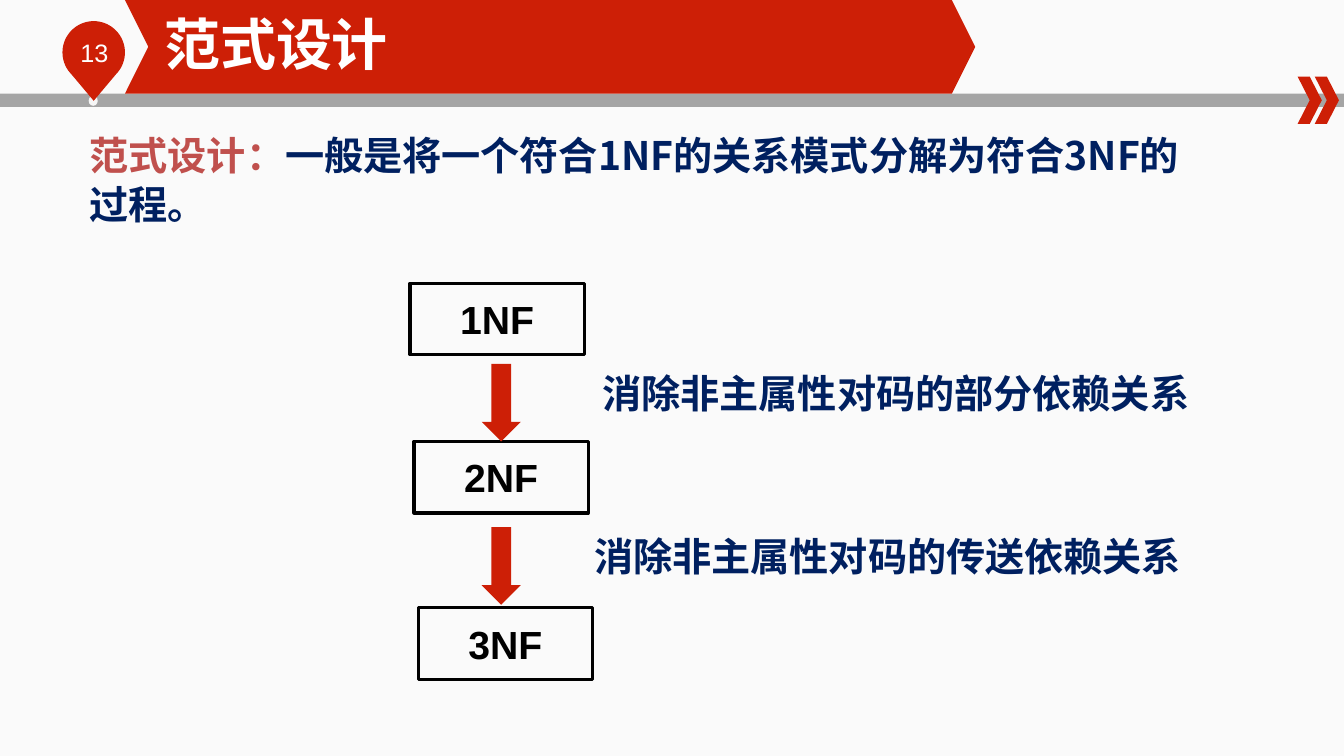
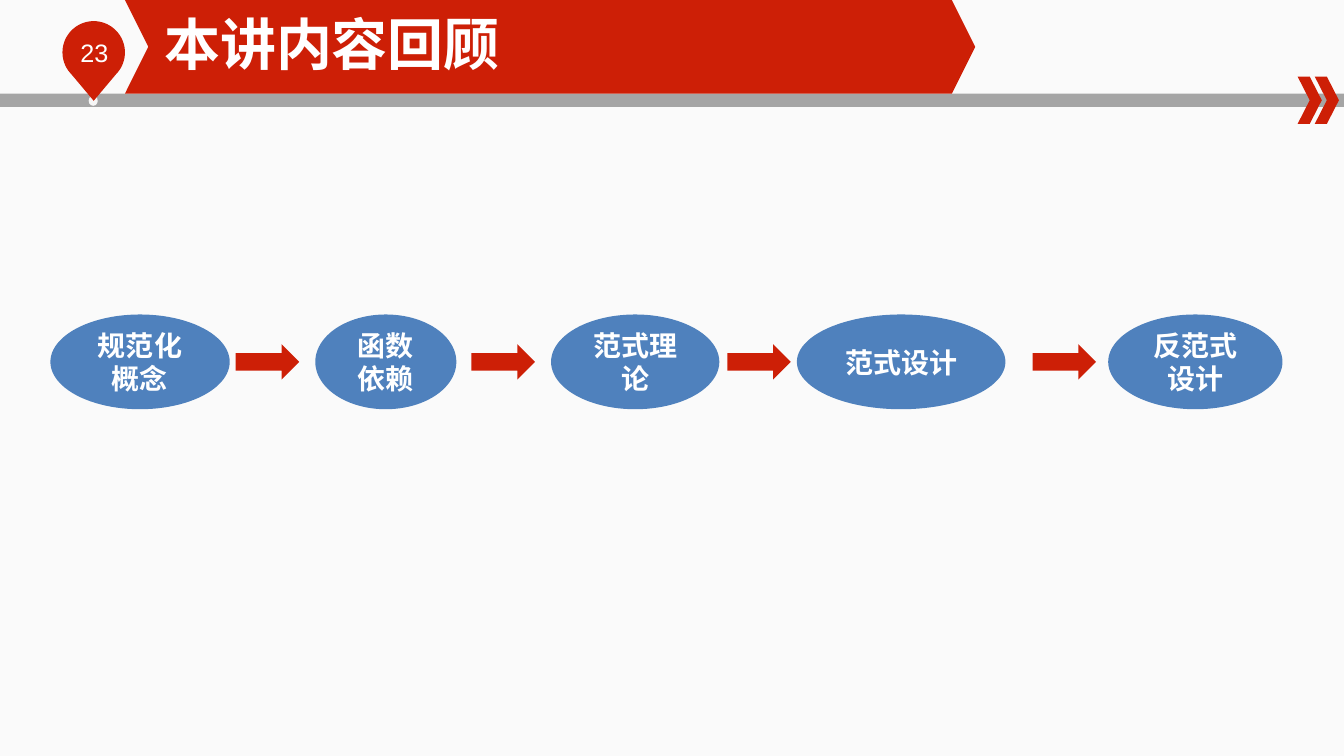
from dataclasses import dataclass
from math import cos, radians, sin

from pptx import Presentation
from pptx import util as u
from pptx.dml.color import RGBColor
from pptx.enum import shapes, text
from pptx.oxml.ns import qn

KIND = shapes.MSO_SHAPE
ALIGN = text.PP_ALIGN
MID = text.MSO_ANCHOR.MIDDLE
TOP = text.MSO_ANCHOR.TOP


@dataclass(frozen=True)
class Theme:
    red: str = "CD1F06"
    gray: str = "A5A5A5"
    dot: str = "F6F6F6"
    white: str = "FFFFFF"
    black: str = "000000"
    navy: str = "002060"
    rose: str = "C0504D"
    blue: str = "4F81BD"
    back: tuple = ("FAFAFA", "FCFCFC")
    latin: str = "Arial"
    cjk: str = "Noto Sans CJK SC"
    title: int = 40
    body: int = 28
    node: int = 20
    page: int = 18


T = Theme()


def rgb(code):
    return RGBColor.from_string(code)


def apply(item, form):
    for key, value in form.items():
        setattr(item, key, value)


def write(shape, runs, size, name=T.cjk, bold=True, align=ALIGN.LEFT,
          anchor=TOP, pad=(0.1, 0.05), lead=1.0):
    frame = shape.text_frame
    side, edge = map(u.Inches, pad)
    apply(frame, {"word_wrap": True, "vertical_anchor": anchor,
                  "margin_left": side, "margin_right": side,
                  "margin_top": edge, "margin_bottom": edge})
    para = frame.paragraphs[0]
    apply(para, {"alignment": align, "line_spacing": lead})
    for words, color in runs:
        run = para.add_run()
        run.text = words
        apply(run.font, {"name": name, "size": u.Pt(size), "bold": bold})
        run.font.color.rgb = rgb(color)
        east = run.font._element.makeelement(qn("a:ea"), {"typeface": T.cjk})
        run.font._element.find(qn("a:latin")).addnext(east)


def paint(shape, fill=None, line=None, width=2.25):
    shape.shadow.inherit = False
    if fill:
        shape.fill.solid()
        shape.fill.fore_color.rgb = rgb(fill)
    else:
        shape.fill.background()
    if line:
        shape.line.color.rgb = rgb(line)
        shape.line.width = u.Pt(width)
    else:
        shape.line.fill.background()
    return shape


def draw(slide, kind, box, fill=None, line=None, adjust=None):
    shape = slide.shapes.add_shape(kind, *map(u.Inches, box))
    if adjust is not None:
        shape.adjustments[0] = adjust
    return paint(shape, fill, line)


def label(slide, box, runs, size, **form):
    area = slide.shapes.add_textbox(*map(u.Inches, box))
    write(area, runs, size, **form)


def pin(slide, box, page):
    x, y, w, h = box
    r = w / 2
    arc = [(x + r + r * cos(radians(a)), y + r + r * sin(radians(a)))
           for a in range(135, 406, 5)]
    points = [tuple(map(u.Inches, p)) for p in arc + [(x + r, y + h)]]
    form = slide.shapes.build_freeform(*points[0], scale=1.0)
    form.add_line_segments(points[1:], close=True)
    paint(form.convert_to_shape(), T.red)
    label(slide, (x + 0.08, y + 0.11, 0.76, 0.4), [(page, T.white)],
          T.page, name=T.latin, bold=False)


def header(slide, box, title, page):
    x, y, w, h = box
    draw(slide, KIND.RECTANGLE, (x, y + h, w, 0.13), T.gray)
    draw(slide, KIND.OVAL, (x + 0.88, y + 0.95, 0.09, 0.1), T.dot)
    pin(slide, (x + 0.62, y + 0.21, 0.62, 0.79), page)
    for left in (w - 0.46, w - 0.29):
        draw(slide, KIND.CHEVRON, (x + left, y + 0.76, 0.24, 0.47),
             T.red, adjust=0.5)
    draw(slide, KIND.CHEVRON, (x + 1.24, y, 8.44, h), T.red, adjust=0.25)
    label(slide, (x + 1.63, y + 0.09, 6.61, 0.67), [(title, T.white)],
          T.title, anchor=MID, pad=(0, 0))


def steps(slide, box):
    x, y, w, h = box
    nodes = (("1NF", 0, 0), ("2NF", 0.04, 1.57), ("3NF", 0.08, 3.22))
    for name, left, top in nodes:
        node = draw(slide, KIND.RECTANGLE, (x + left, y + top, 1.73, 0.71),
                    line=T.black)
        write(node, [(name, T.black)], T.body, name=T.latin,
              align=ALIGN.CENTER, anchor=MID)
    notes = (("消除非主属性对码的部分依赖关系", 1.81, 0.8),
             ("消除非主属性对码的传送依赖关系", 1.73, 2.42))
    for words, left, top in notes:
        draw(slide, KIND.DOWN_ARROW, (x + 0.71, y + top, 0.39, 0.77), T.red)
        label(slide, (x + left, y + top, 6.28, 0.57), [(words, T.navy)],
              T.body, name=T.latin)


def chain(slide, box):
    x, y, w, h = box
    nodes = (("规范化概念", 0, 1.78), ("函数依赖", 2.63, 1.4),
             ("范式理论", 4.97, 1.67), ("范式设计", 7.41, 2.07),
             ("反范式设计", 10.5, 1.73))
    for words, left, wide in nodes:
        node = draw(slide, KIND.OVAL, (x + left, y, wide, h), T.blue)
        write(node, [(words, T.white)], T.node, align=ALIGN.CENTER,
              anchor=MID)
    for left in (1.84, 4.18, 6.72, 9.75):
        draw(slide, KIND.RIGHT_ARROW,
             (x + left, y + (h - 0.35) / 2, 0.63, 0.35), T.red)


def start(deck, title, page):
    slide = deck.slides.add_slide(deck.slide_layouts[6])
    fill = slide.background.fill
    fill.gradient()
    fill.gradient_angle = 270
    for stop, color in zip(fill.gradient_stops, T.back):
        stop.color.rgb = rgb(color)
    header(slide, (0, 0, 13.34, 0.93), title, page)
    return slide


def design(deck):
    slide = start(deck, "范式设计", "13")
    label(slide, (0.79, 1.23, 11.38, 1.08),
          [("范式设计：", T.rose),
           ("一般是将一个符合1NF的关系模式分解为符合3NF的过程。", T.navy)],
          T.body, lead=1.05)
    steps(slide, (4.07, 2.81, 8.09, 3.93))


def review(deck):
    slide = start(deck, "本讲内容回顾", "23")
    chain(slide, (0.5, 3.12, 12.23, 0.94))


def main():
    deck = Presentation()
    apply(deck, {"slide_width": u.Inches(13.34),
                 "slide_height": u.Inches(7.5)})
    design(deck)
    review(deck)
    deck.save("out.pptx")


if __name__ == "__main__":
    main()
